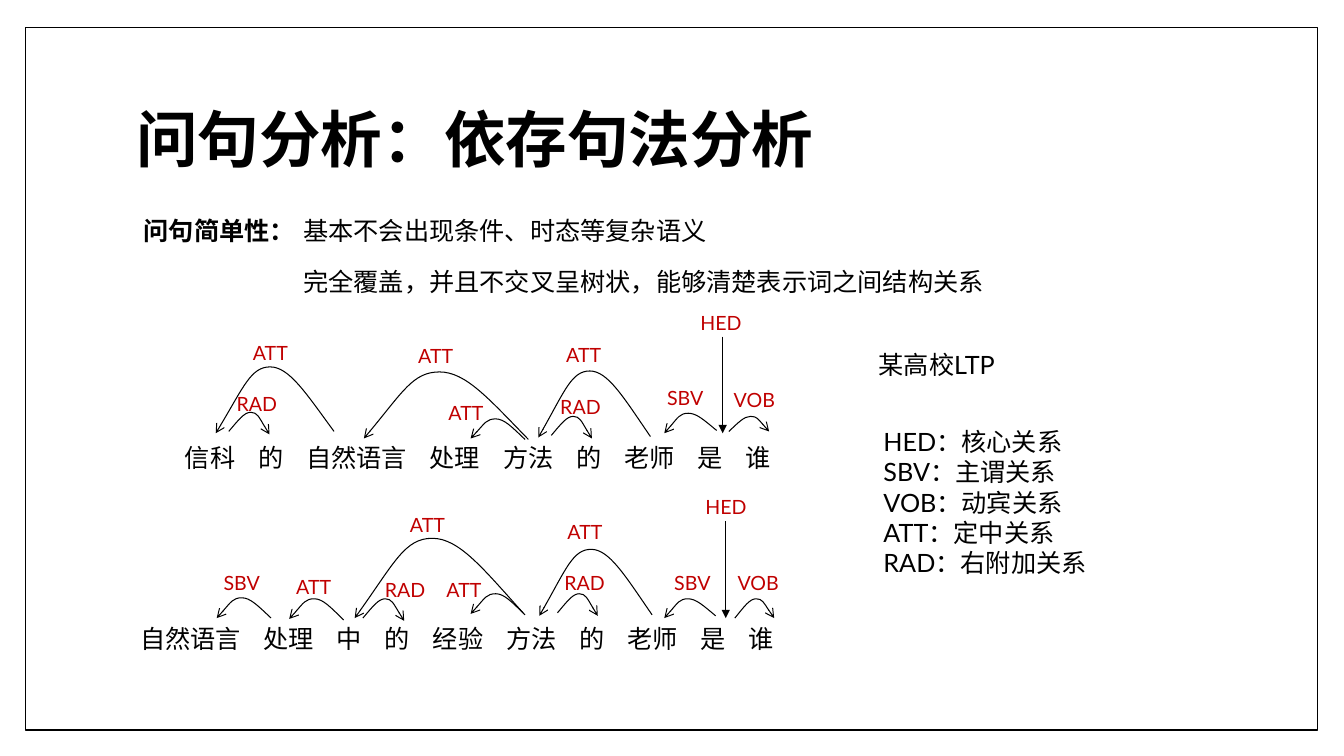
from itertools import accumulate

from lxml.etree import SubElement
from pptx import Presentation
from pptx.dml.color import RGBColor
from pptx.enum.shapes import MSO_CONNECTOR as CONNECTOR, MSO_SHAPE as SHAPE
from pptx.enum.text import MSO_ANCHOR as ANCHOR, PP_ALIGN as ALIGN
from pptx.oxml.ns import qn
from pptx.util import Pt

COLOURS = {"ink": "000000", "relation": "C00000", "paper": "FFFFFF"}
BODY = {"name": "Lato", "size": Pt(18), "bold": False}
STRONG = {**BODY, "bold": True}
HEADING = {**STRONG, "size": Pt(44)}
LABEL = {**BODY, "size": Pt(14)}
WORD_GAP = 16.3
LABEL_SIZE = (64, 24)

# Control points of an arc: share of its width, share of its rise
ARC_CURVE = [(0.24, 0.6), (0.38, 1), (0.54, 1), (0.7, 1), (0.77, 0.67), (1, 0)]

# Each arc: relation, label (x, y), start (x, y), end (x, y), peak y.
# Each root: label (x, y), arrow x, arrow top, arrow bottom.
# All are relative to the top left corner of the word line.
SENTENCES = [
    {
        "box": (125, 312.5, 456, 29),
        "words": "信科 的 自然语言 处理 方法 的 老师 是 谁".split(),
        "root": ((368.2, -94.3), 391.2, -72, -3),
        "arcs": [
            ("VOB", (392, -38.9), (395.6, -4.3), (424.4, -4.3), -15.1),
            ("SBV", (344.4, -40.3), (386.9, -5), (349.5, -3), -17.3),
            ("ATT", (272.4, -71.3), (339.6, -0.7), (259.5, 0), -47.5),
            ("RAD", (268.1, -33.9), (268.8, -1.5), (297.8, 0.7), -15.1),
            ("ATT", (188.2, -29.5), (250.1, 1.4), (211.2, 0.7), -13.3),
            ("ATT", (166.6, -70.6), (252.4, 1.4), (134.9, 0.7), -46.8),
            ("ATT", (48.5, -72.7), (113.6, -4.3), (29.1, -3), -50.4),
            ("RAD", (37, -36), (38.4, -4.3), (67.5, -2.2), -18),
        ],
    },
    {
        "box": (93, 441.5, 478, 29),
        "words": "自然语言 处理 中 的 经验 方法 的 老师 是 谁".split(),
        "root": ((403.8, -91.6), 425.4, -69.3, 0),
        "arcs": [
            ("VOB", (426.8, -36.9), (431.9, 0), (460, 0), -13.8),
            ("SBV", (381.5, -37.6), (418.2, -1.6), (381.5, 0), -13.8),
            ("ATT", (305.2, -73.6), (372.8, -2.3), (292.2, -1.6), -49.1),
            ("RAD", (303, -37.6), (305.2, -3.7), (334, -1.6), -17.4),
            ("ATT", (218.8, -32.5), (282.1, -2.3), (243.2, -3), -17.4),
            ("ATT", (192.8, -78.6), (280.7, -3.7), (160.4, 0), -57),
            ("RAD", (174.8, -32.5), (166.2, 0), (195.7, 2), -13.8),
            ("ATT", (111.5, -34.7), (152.5, 1.3), (113.6, 0.6), -13.8),
            ("SBV", (59.6, -36.9), (100.7, 0), (61.8, 0), -14.5),
        ],
    },
]


def colour(name):
    """Return the named colour."""
    return RGBColor.from_string(COLOURS[name])


def set_all(target, values):
    """Set the attributes of target from a dict."""
    for name, value in values.items():
        setattr(target, name, value)


def write(frame, lines, font, ink="ink"):
    """Fill a text frame with one paragraph per line."""
    frame.text = "\n".join(lines)
    for paragraph in frame.paragraphs:
        paragraph.alignment = ALIGN.LEFT
        for run in paragraph.runs:
            set_all(run.font, font)
            run.font.color.rgb = colour(ink)


def add_text(slide, box, lines, font=BODY, ink="ink"):
    """Add a text box and return its frame."""
    frame = slide.shapes.add_textbox(*map(Pt, box)).text_frame
    frame.word_wrap = True
    write(frame, lines, font, ink)
    return frame


def style_arrow(shape, width, head):
    """Give a line its colour, its width and an arrowhead at the end."""
    shape.line.color.rgb = colour("ink")
    shape.line.width = Pt(width)
    SubElement(shape.line._get_or_add_ln(), qn("a:tailEnd"), type=head)


def add_frame(slide, box):
    """Draw the border behind everything else."""
    shape = slide.shapes.add_shape(SHAPE.RECTANGLE, *map(Pt, box))
    shape.shadow.inherit = False
    shape.fill.solid()
    shape.fill.fore_color.rgb = colour("paper")
    shape.line.color.rgb = colour("ink")
    shape.line.width = Pt(1)
    slide.shapes._spTree.insert(2, shape._element)


def add_title(slide, box, text):
    """Place and format the title placeholder."""
    title = slide.shapes.title
    set_all(title, dict(zip(("left", "top", "width", "height"), map(Pt, box))))
    title.text_frame.vertical_anchor = ANCHOR.MIDDLE
    write(title.text_frame, [text], HEADING)
    title.text_frame.paragraphs[0].line_spacing = 0.9


def add_arc(slide, start, end, peak):
    """Draw a curved arrow that rises from start to peak and falls to end."""
    points = []
    for index, (across, rise) in enumerate(ARC_CURVE):
        base = (start if index < 3 else end)[1]
        x = start[0] + across * (end[0] - start[0])
        points.append((Pt(x), Pt(base + rise * (peak - base))))
    builder = slide.shapes.build_freeform(*map(Pt, start))
    builder.add_line_segments(points, close=False)
    shape = builder.convert_to_shape()
    shape.shadow.inherit = False
    shape.fill.background()
    segments = list(shape._element.iter(qn("a:lnTo")))
    outline = segments[0].getparent()
    for first in (0, 3):
        curve = SubElement(outline, qn("a:cubicBezTo"))
        for segment in segments[first:first + 3]:
            curve.append(segment[0])
            outline.remove(segment)
    style_arrow(shape, 0.75, "arrow")


def add_root(slide, x, top, bottom):
    """Draw the straight arrow down to the root word."""
    line = slide.shapes.add_connector(
        CONNECTOR.STRAIGHT, *map(Pt, (x, top, x, bottom)))
    style_arrow(line, 0.79, "triangle")
    SubElement(line._element.spPr, qn("a:effectLst"))


def add_words(slide, box, words):
    """Write the words on one line, with a tab stop for each."""
    paragraph = add_text(slide, box, ["\t".join(words)]).paragraphs[0]
    stops = SubElement(paragraph._p.get_or_add_pPr(), qn("a:tabLst"))
    for stop in accumulate(18 * len(word) + WORD_GAP for word in words[:-1]):
        SubElement(stops, qn("a:tab"), pos=str(Pt(stop)), algn="l")


def add_sentence(slide, box, words, root, arcs):
    """Draw a dependency tree over a line of words."""
    left, top = box[:2]

    def place(point):
        return left + point[0], top + point[1]

    add_words(slide, box, words)
    root_label, x, high, low = root
    add_root(slide, left + x, top + high, top + low)
    for _, _, start, end, peak in arcs:
        add_arc(slide, place(start), place(end), top + peak)
    labels = [("HED", root_label)] + [arc[:2] for arc in arcs]
    for relation, corner in labels:
        add_text(slide, (*place(corner), *LABEL_SIZE), [relation], LABEL, "relation")


def add_summary(slide, box):
    """Write the heading with its two statements beside it."""
    left, top, width, height = box
    add_text(slide, (left, top, 137, height), ["问句简单性："], STRONG)
    statements = ["基本不会出现条件、时态等复杂语义",
                  "完全覆盖，并且不交叉呈树状，能够清楚表示词之间结构关系"]
    for row, statement in enumerate(statements):
        add_text(slide, (left + 114, top + 37 * row, width - 114, height), [statement])


def add_legend(slide, box):
    """Name the parser and explain the relation labels."""
    left, top, width, height = box
    add_text(slide, (left, top, 146, 29), ["某高校LTP"])
    relations = {"HED": "核心关系", "SBV": "主谓关系", "VOB": "动宾关系",
                 "ATT": "定中关系", "RAD": "右附加关系"}
    add_text(slide, (left + 3.5, top + 55, width - 3.5, height - 55),
             [f"{key}：{meaning}" for key, meaning in relations.items()])


presentation = Presentation()
presentation.slide_width, presentation.slide_height = Pt(960), Pt(540)
slide = presentation.slides.add_slide(presentation.slide_layouts[5])
add_frame(slide, (18, 19.5, 923, 502))
add_title(slide, (90, 48, 778, 107), "问句分析：依存句法分析")
add_summary(slide, (95.5, 150, 630, 29))
for sentence in SENTENCES:
    add_sentence(slide, **sentence)
add_legend(slide, (620.5, 246, 236, 172))
presentation.save("out.pptx")
